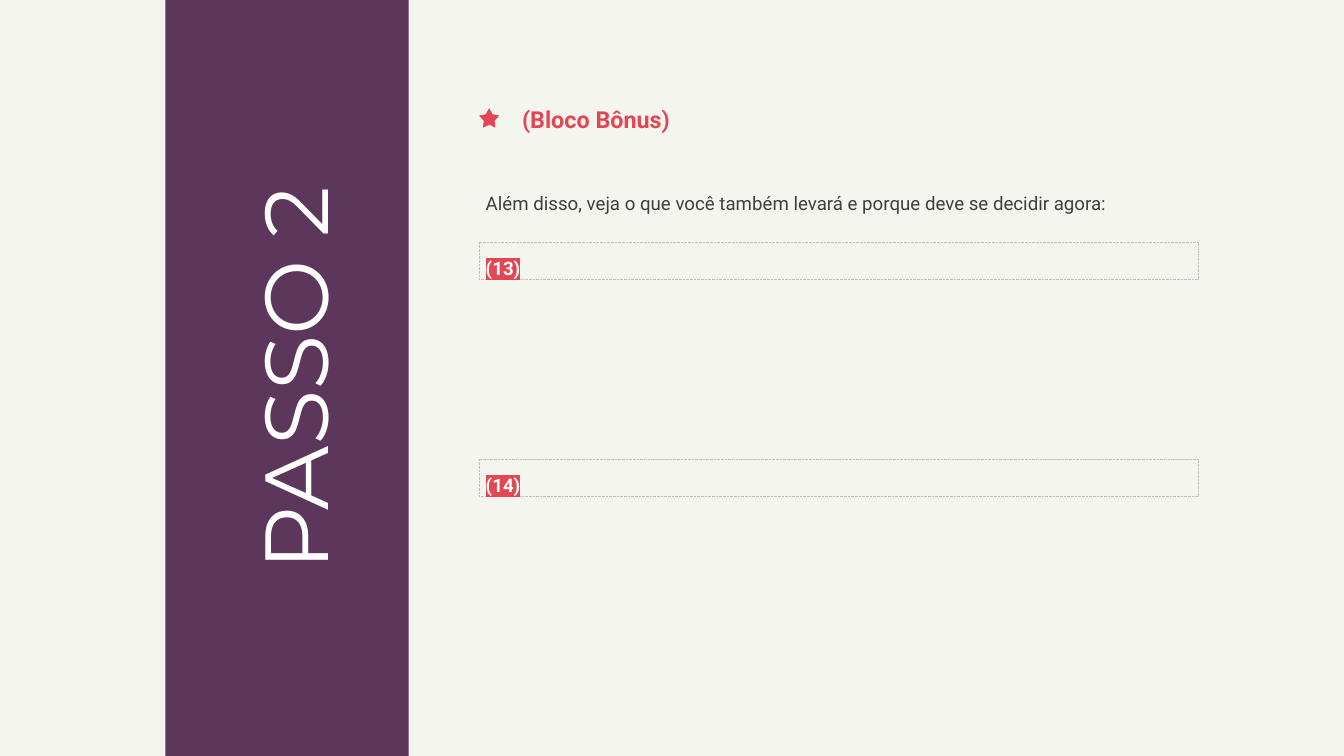
from pptx import Presentation
from pptx.dml.color import RGBColor
from pptx.enum.dml import MSO_LINE
from pptx.enum.shapes import MSO_SHAPE
from pptx.enum.text import MSO_ANCHOR, MSO_AUTO_SIZE, PP_ALIGN
from pptx.oxml.ns import qn
from pptx.util import Pt
from lxml import etree

CREAM = RGBColor(0xF5, 0xF5, 0xEF)
PLUM = RGBColor(0x3B, 0x0C, 0x3B)
RED = RGBColor(0xE4, 0x47, 0x54)
WHITE = RGBColor(0xFF, 0xFF, 0xFF)
DARK = RGBColor(0x3F, 0x3F, 0x3F)
GREY = RGBColor(0xBF, 0xBF, 0xBF)


def write(box, text, size=20, font="Roboto", color=DARK, bold=False,
          align=PP_ALIGN.LEFT, spacing=1.0, highlight=None):
    frame = box.text_frame
    frame.word_wrap = True
    frame.auto_size = MSO_AUTO_SIZE.SHAPE_TO_FIT_TEXT
    frame.vertical_anchor = MSO_ANCHOR.TOP
    para = frame.paragraphs[0]
    para.alignment = align
    para.line_spacing = spacing
    span = para.add_run()
    span.text = text
    span.font.size = Pt(size)
    span.font.bold = bold
    span.font.color.rgb = color
    span.font.name = font
    if highlight is not None:
        mark = etree.Element(qn("a:highlight"))
        etree.SubElement(mark, qn("a:srgbClr"), val=str(highlight))
        span.font.fill  
        span._r.rPr.find(qn("a:solidFill")).addnext(mark)


def add_plain_shape(kind, left, top, width, height, fill=None):
    shape = page.shapes.add_shape(kind, Pt(left), Pt(top), Pt(width), Pt(height))
    shape.shadow.inherit = False
    shape.line.fill.background()
    if fill is None:
        shape.fill.background()
    else:
        shape.fill.solid()
        shape.fill.fore_color.rgb = fill
    return shape


deck = Presentation()
deck.slide_width, deck.slide_height = Pt(1440), Pt(810)
page = deck.slides.add_slide(deck.slide_layouts[5])
page.background.fill.solid()
page.background.fill.fore_color.rgb = CREAM

title = page.shapes.title
title.left, title.top, title.width, title.height = Pt(56.16), Pt(343.44), Pt(516.96), Pt(123.84)
title.rotation = 270
write(title, "PASSO 2", size=96, font="Montserrat", color=WHITE, align=PP_ALIGN.CENTER)

band = add_plain_shape(MSO_SHAPE.RECTANGLE, 177.12, 0, 260.64, 810, fill=PLUM)
band_color = band.element.spPr.find(qn("a:solidFill")).find(qn("a:srgbClr"))
etree.SubElement(band_color, qn("a:alpha"), val="82000")
title.element.addprevious(band.element)

LEFT, WIDTH, ROW_HEIGHT = 513.36, 771.12, 39.6

star = add_plain_shape(MSO_SHAPE.STAR_5_POINT, LEFT, 115.92, 21.6, 20.88, fill=RED)
star.adjustments[0] = 0.27

heading = page.shapes.add_textbox(Pt(552.24), Pt(108.72), Pt(758.88), Pt(37.44))
write(heading, "(Bloco Bônus)", size=25, color=RED, bold=True)

intro = page.shapes.add_textbox(Pt(LEFT), Pt(190.08), Pt(WIDTH), Pt(ROW_HEIGHT))
write(intro, "Além disso, veja o que você também levará e porque deve se decidir agora:",
      spacing=1.5)

for label, top in (("(13)", 259.2), ("(14)", 491.76)):
    field = add_plain_shape(MSO_SHAPE.RECTANGLE, LEFT, top, WIDTH, ROW_HEIGHT)
    field.line.color.rgb = GREY
    field.line.width = Pt(0.75)
    field.line.dash_style = MSO_LINE.ROUND_DOT
    write(field, label, color=WHITE, bold=True, spacing=1.5, highlight=RED)

deck.save("out.pptx")
